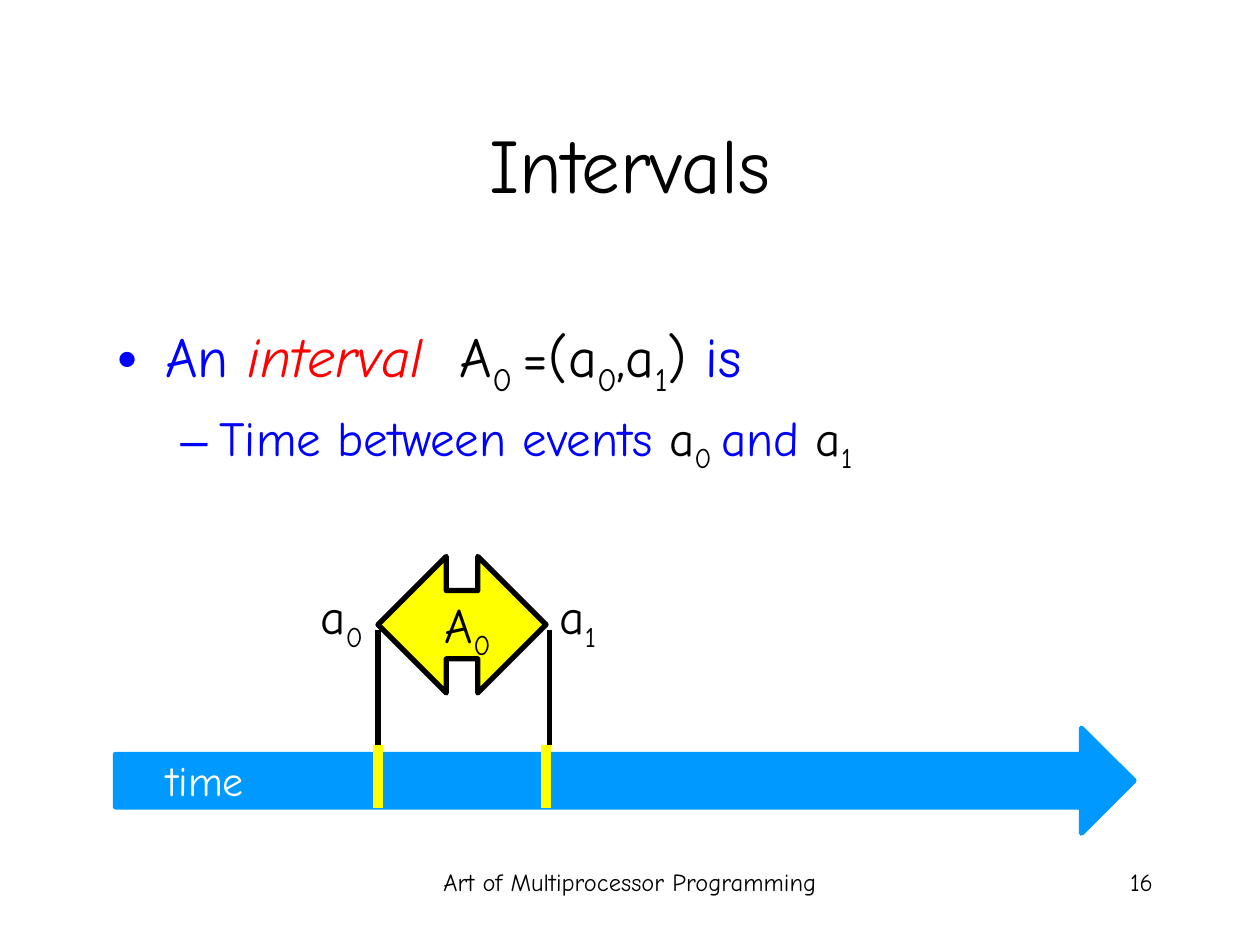
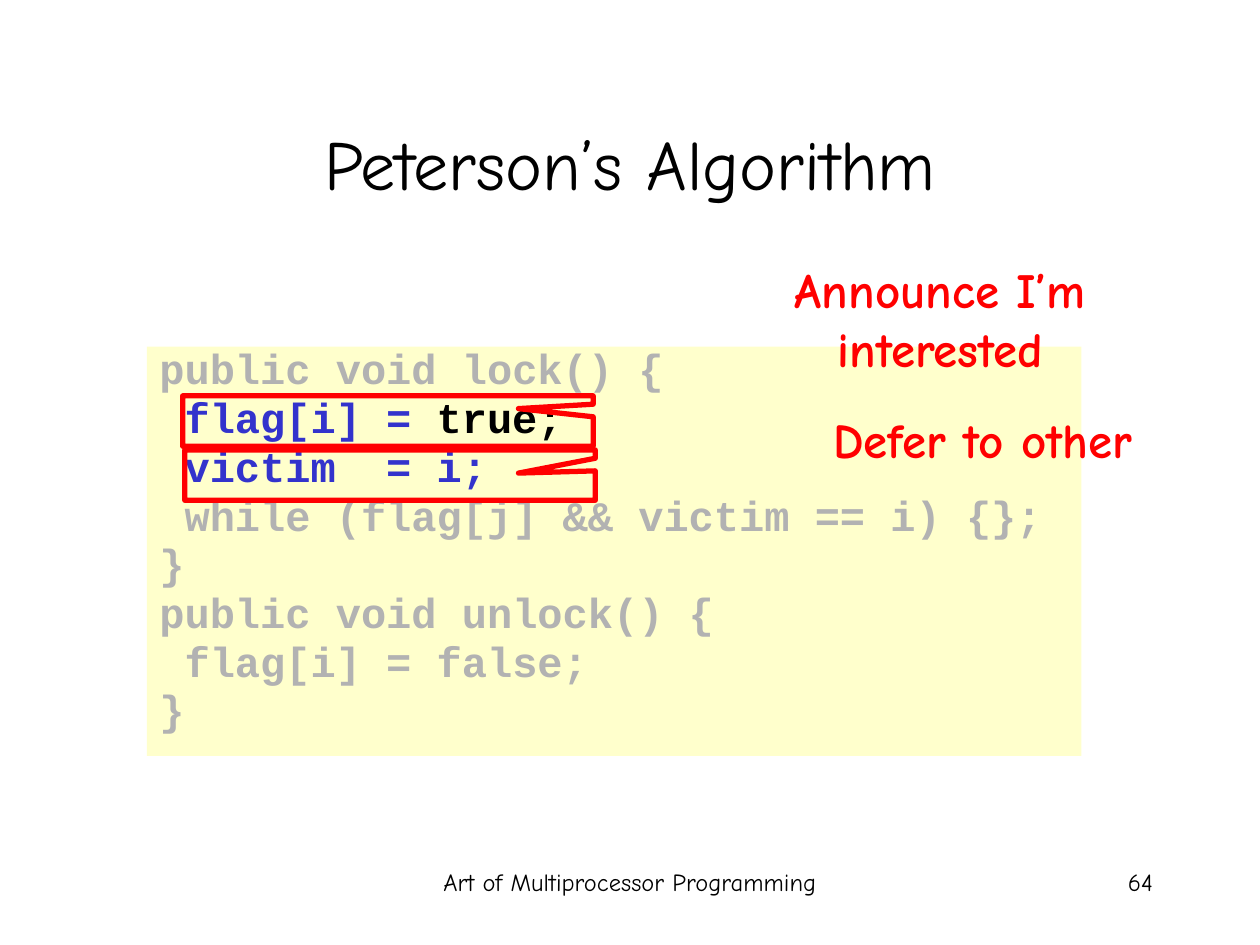
import pptx
import pptx.util
import pptx.dml.color
import pptx.enum.shapes
import pptx.enum.text
import pptx.oxml.ns
from lxml import etree

RGB = pptx.dml.color.RGBColor
SHAPE = pptx.enum.shapes.MSO_SHAPE
ALIGN = pptx.enum.text.PP_ALIGN
ANCHOR = pptx.enum.text.MSO_ANCHOR
qn = pptx.oxml.ns.qn

BLACK = RGB(0x00, 0x00, 0x00)
WHITE = RGB(0xFF, 0xFF, 0xFF)
BLUE = RGB(0x00, 0x00, 0xFF)
RED = RGB(0xFF, 0x00, 0x00)
YELLOW = RGB(0xFF, 0xFF, 0x00)
SKY = RGB(0x00, 0x99, 0xFF)
CREAM = RGB(0xFF, 0xFF, 0xCC)
GREY = RGB(0xB2, 0xB2, 0xB2)
INDIGO = RGB(0x33, 0x33, 0xCC)

FONT, CODE_FONT = "Comic Neue", "Courier New"
CELL = pptx.util.Inches(1 / 12)  # the slide is a grid of 120 columns by 90 rows
COLS, ROWS = 120, 90
RULE = 3  # line width in points


def grid(*cells):
    return [round(c * CELL) for c in cells]


def write(p, runs, size=28, font=FONT, color=BLACK, bold=False, align=ALIGN.LEFT,
          bullet=None, level=0, margin=0, hang=0, before=0, spacing=None):
    """Fill a paragraph; runs is a string or a list of (text, color, style)."""
    pPr = p._p.get_or_add_pPr()
    if margin:
        pPr.set("marL", str(pptx.util.Inches(margin)))
        pPr.set("indent", str(-pptx.util.Inches(hang)))
    if bullet:
        clr = etree.SubElement(pPr, qn("a:buClr"))
        etree.SubElement(clr, qn("a:srgbClr"), val=str(color))
        etree.SubElement(pPr, qn("a:buFont"), typeface="Arial")
        etree.SubElement(pPr, qn("a:buChar"), char=bullet)
    p.level = level
    p.alignment = align
    p.space_before = pptx.util.Pt(before)
    if spacing:
        p.line_spacing = spacing
    if isinstance(runs, str):
        runs = [(runs, color, "")]
    for text, run_color, style in runs:
        r = p.add_run()
        r.text = text
        r.font.name, r.font.size = font, pptx.util.Pt(size)
        r.font.bold, r.font.italic = bold, style == "italic"
        r.font.color.rgb = run_color
        if style == "sub":
            r.font._element.set("baseline", "-25000")


def text_box(slide, box, runs, wrap=True, anchor=ANCHOR.TOP, **fmt):
    tf = slide.shapes.add_textbox(*grid(*box)).text_frame
    tf.word_wrap = wrap
    tf.vertical_anchor = anchor
    write(tf.paragraphs[0], runs, **fmt)
    return tf


def shape(slide, kind, box, fill=None, line=None, adjust=()):
    sp = slide.shapes.add_shape(kind, *grid(*box))
    sp.shadow.inherit = False
    for i, value in enumerate(adjust):
        sp.adjustments[i] = value
    if fill is None:
        sp.fill.background()
    else:
        sp.fill.solid()
        sp.fill.fore_color.rgb = fill
    if line is None:
        sp.line.fill.background()
    else:
        sp.line.color.rgb = line
        sp.line.width = pptx.util.Pt(RULE)
    return sp


def upright(slide, col, top, bottom, color, width=RULE):
    """Vertical line in one column."""
    line = slide.shapes.add_connector(pptx.enum.shapes.MSO_CONNECTOR.STRAIGHT,
                                      *grid(col, top, col, bottom))
    line.line.color.rgb = color
    line.line.width = pptx.util.Pt(width)
    etree.SubElement(line._element.spPr, qn("a:effectLst"))


def symbol(letter, index, color=BLACK):
    """Runs for a letter with a subscript."""
    return [(letter, color, ""), (index, color, "sub")]


def base_slide(prs, title, number, title_size):
    slide = prs.slides.add_slide(prs.slide_layouts[6])
    text_box(slide, (41, 82, 38, 6), "Art of Multiprocessor Programming",
             size=14, align=ALIGN.CENTER)
    text_box(slide, (86, 82, 25, 6), number, size=14, align=ALIGN.RIGHT)
    text_box(slide, (9, 8, 102, 15), title, size=title_size,
             align=ALIGN.CENTER, anchor=ANCHOR.MIDDLE)
    return slide


def intervals(prs):
    slide = base_slide(prs, "Intervals", "16", 44)

    # Time axis
    shape(slide, SHAPE.RIGHT_ARROW, (11, 69.35, 97, 10), SKY, SKY)
    text_box(slide, (13.7, 71.3, 10.7, 6), "time", wrap=False, size=24,
             color=WHITE, align=ALIGN.RIGHT)

    # Definition
    definition = [("An ", BLUE, ""), ("interval  ", RED, "italic"),
                  *symbol("A", "0 "), *symbol("=(a", "0"), *symbol(",a", "1"),
                  (")", BLACK, ""), (" is", BLUE, "")]
    meaning = [("Time between events ", BLUE, ""), *symbol("a", "0 "),
               ("and ", BLUE, ""), *symbol("a", "1")]
    tf = text_box(slide, (10, 30, 102, 43), definition, size=32, color=BLUE,
                  bullet="•", margin=0.38, hang=0.38)
    write(tf.add_paragraph(), meaning, color=BLUE, bullet="–", level=1,
          margin=0.81, hang=0.31, before=5.6)

    # Interval between its two events
    for col in (36, 52.3):
        upright(slide, col, 60, 71, BLACK)
    shape(slide, SHAPE.LEFT_RIGHT_ARROW, (36, 53, 16, 13), YELLOW, BLACK, (0.5, 0.5))
    for letter, index, box in (("a", "0", (29, 55.2, 6.75, 6.8)),
                               ("a", "1", (51.75, 55.2, 6.2, 6.8)),
                               ("A", "0", (40.1, 56, 7.8, 6.8))):
        text_box(slide, box, symbol(letter, index), wrap=False, align=ALIGN.RIGHT)
    for col in (36, 52):
        upright(slide, col, 71, 77, YELLOW, 2 * RULE)


def peterson(prs):
    slide = base_slide(prs, "Peterson’s Algorithm", "64", 40)

    # Code panel
    code = ["public void lock() {",
            [(" flag[i] = ", INDIGO, ""), ("true;", BLACK, "")],
            [(" victim  = i;", INDIGO, "")],
            " while (flag[j] && victim == i) {};",
            "}",
            "public void unlock() {",
            " flag[i] = false;",
            "}"]
    tf = shape(slide, SHAPE.RECTANGLE, (14, 33, 89, 39), CREAM).text_frame
    tf.word_wrap = True
    tf.vertical_anchor = ANCHOR.TOP
    for i, line in enumerate(code):
        write(tf.add_paragraph() if i else tf.paragraphs[0], line, size=24,
              font=CODE_FONT, color=GREY, bold=True, margin=0.25, hang=0.25,
              before=4.8 if i else 0, spacing=0.8)

    # Callouts round the highlighted lines, with their remarks
    remarks = [((17.4, 37.7), (0.318, -0.246, 0),
                "Announce I’m interested", (71.8, 24.1, 35.5, 12.4)),
               ((17.6, 42.85), (0.313, -0.039, 0),
                "Defer to other", (73.2, 38.4, 40.8, 6.8))]
    for corner, tip, remark, box in remarks:
        shape(slide, SHAPE.ROUNDED_RECTANGULAR_CALLOUT, (*corner, 39.1, 4.8),
              line=RED, adjust=tip)
        text_box(slide, box, remark, color=RED, bold=True, align=ALIGN.CENTER)


def main():
    prs = pptx.Presentation()
    prs.slide_width, prs.slide_height = grid(COLS, ROWS)
    intervals(prs)
    peterson(prs)
    prs.save("out.pptx")


if __name__ == "__main__":
    main()
